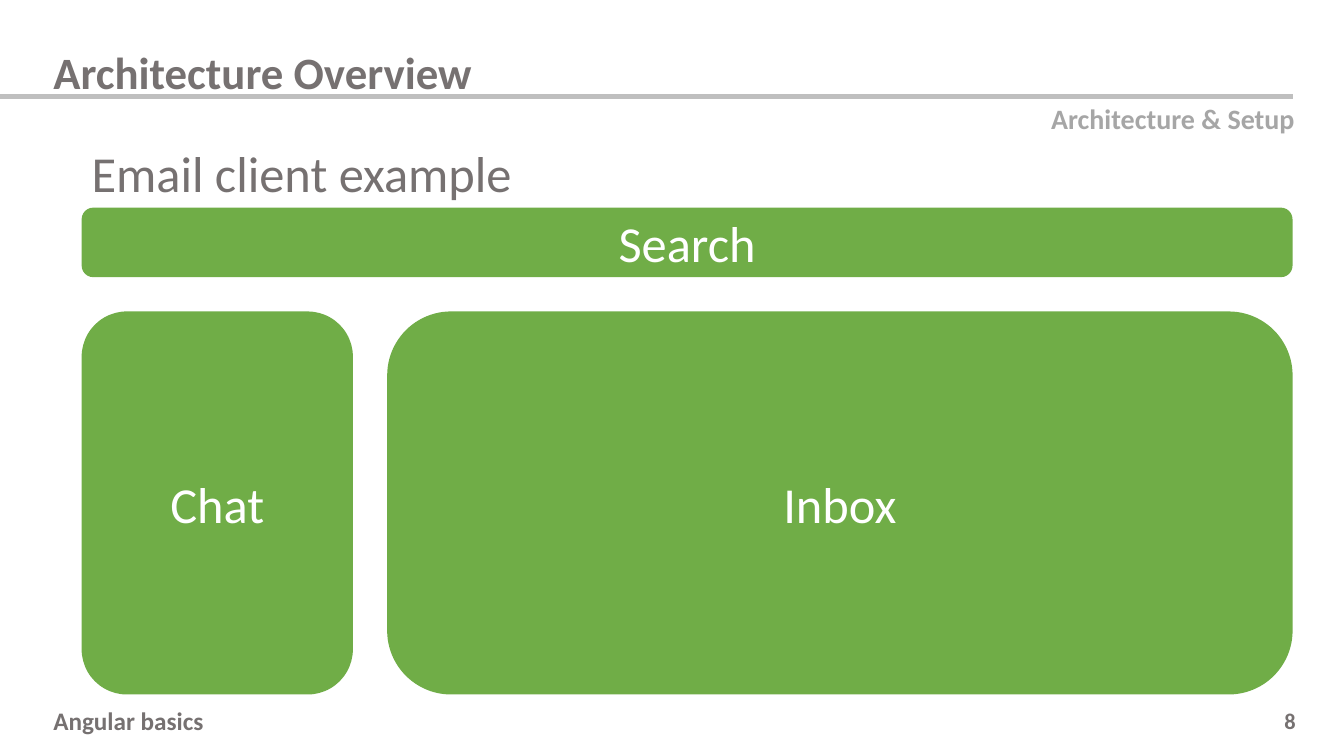
from dataclasses import dataclass

from lxml import etree
from pptx import Presentation
from pptx import util as u
from pptx.dml.color import RGBColor
from pptx.enum import shapes, text
from pptx.oxml import ns


@dataclass(frozen=True)
class Theme:
    font: str = "Calibri"
    ink: str = "767171"
    muted: str = "A6A6A6"
    rule: str = "BFBFBF"
    panel: str = "70AD47"
    on_panel: str = "FFFFFF"
    title_size: float = 32
    section_size: float = 20
    footer_size: float = 18
    number_size: float = 16
    body_size: float = 36
    rule_width: float = 3.5


class SlideBuilder:
    """Draws styled elements on one slide."""

    def __init__(self, slide, theme):
        self.slide = slide
        self.theme = theme

    def set_text(self, shape, content, size, color, bold=False,
                 align=text.PP_ALIGN.LEFT, anchor=text.MSO_ANCHOR.TOP, spacing=1.0):
        frame = shape.text_frame
        frame.text = content
        frame.word_wrap = True
        frame.auto_size = text.MSO_AUTO_SIZE.NONE
        frame.vertical_anchor = anchor
        paragraph = frame.paragraphs[0]
        paragraph.alignment = align
        paragraph.line_spacing = spacing
        font = paragraph.runs[0].font
        font.name = self.theme.font
        font.size = u.Pt(size)
        font.bold = bold
        font.color.rgb = RGBColor.from_string(color)

    def title(self, content, left, top, width, height):
        shape = self.slide.shapes.title
        shape.left, shape.top = u.Inches(left), u.Inches(top)
        shape.width, shape.height = u.Inches(width), u.Inches(height)
        self.set_text(shape, content, self.theme.title_size, self.theme.ink, bold=True,
                      anchor=text.MSO_ANCHOR.BOTTOM, spacing=0.9)

    def label(self, content, left, top, width, height, size, color, **style):
        shape = self.slide.shapes.add_textbox(
            u.Inches(left), u.Inches(top), u.Inches(width), u.Inches(height))
        self.set_text(shape, content, size, color, **style)

    def rule(self, left, right, y):
        line = self.slide.shapes.add_connector(
            shapes.MSO_CONNECTOR.STRAIGHT,
            u.Inches(left), u.Inches(y), u.Inches(right), u.Inches(y))
        line.line.color.rgb = RGBColor.from_string(self.theme.rule)
        line.line.width = u.Pt(self.theme.rule_width)
        etree.SubElement(line._element.spPr, ns.qn("a:effectLst"))

    def panel(self, content, left, top, width, height):
        shape = self.slide.shapes.add_shape(
            shapes.MSO_SHAPE.ROUNDED_RECTANGLE,
            u.Inches(left), u.Inches(top), u.Inches(width), u.Inches(height))
        shape.shadow.inherit = False
        shape.fill.solid()
        shape.fill.fore_color.rgb = RGBColor.from_string(self.theme.panel)
        shape.line.fill.background()
        self.set_text(shape, content, self.theme.body_size, self.theme.on_panel,
                      align=text.PP_ALIGN.CENTER, anchor=text.MSO_ANCHOR.MIDDLE)


def main():
    presentation = Presentation()
    presentation.slide_width = u.Inches(13.33)
    presentation.slide_height = u.Inches(7.5)
    slide = presentation.slides.add_slide(presentation.slide_layouts[5])
    theme = Theme()
    builder = SlideBuilder(slide, theme)

    # Header
    builder.title("Architecture Overview", 0.43, 0.32, 12.51, 0.71)
    builder.rule(-0.02, 12.82, 0.96)
    builder.label("Architecture & Setup", 8.57, 0.97, 4.37, 0.42,
                  theme.section_size, theme.muted, bold=True,
                  align=text.PP_ALIGN.RIGHT, anchor=text.MSO_ANCHOR.BOTTOM, spacing=0.9)

    # Email client layout
    left, right, gap = 0.81, 12.82, 0.34
    search_top, search_height = 2.06, 0.69
    chat_width, pane_height = 2.69, 3.8
    pane_top = search_top + search_height + gap
    inbox_left = left + chat_width + gap
    builder.label("Email client example", left, 1.36, 6.33, 0.71,
                  theme.body_size, theme.ink)
    builder.panel("Search", left, search_top, right - left, search_height)
    builder.panel("Chat", left, pane_top, chat_width, pane_height)
    builder.panel("Inbox", inbox_left, pane_top, right - inbox_left, pane_height)

    # Footer
    builder.label("Angular basics", 0.43, 6.95, 8.48, 0.4,
                  theme.footer_size, theme.ink, bold=True)
    builder.label("8", 9.42, 6.93, 3.53, 0.43, theme.number_size, theme.ink, bold=True,
                  align=text.PP_ALIGN.RIGHT, anchor=text.MSO_ANCHOR.MIDDLE)

    presentation.save("out.pptx")


if __name__ == "__main__":
    main()
